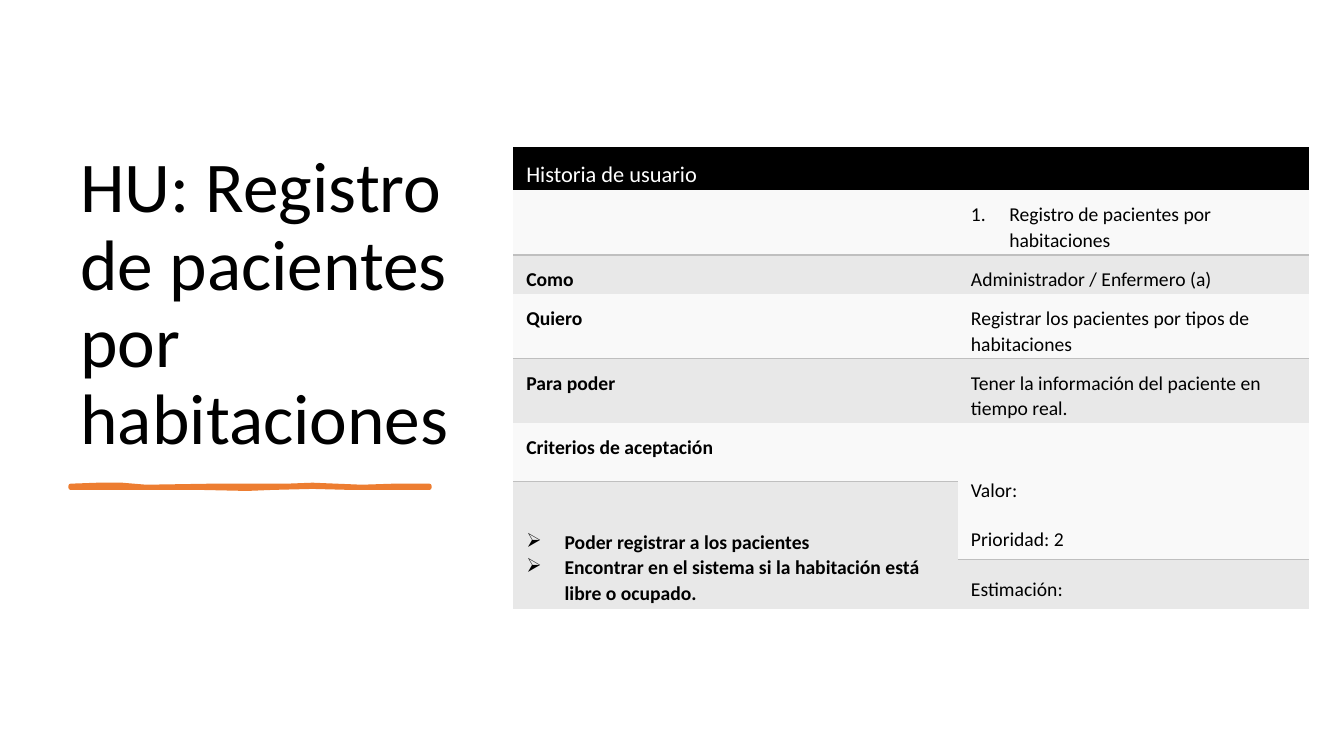
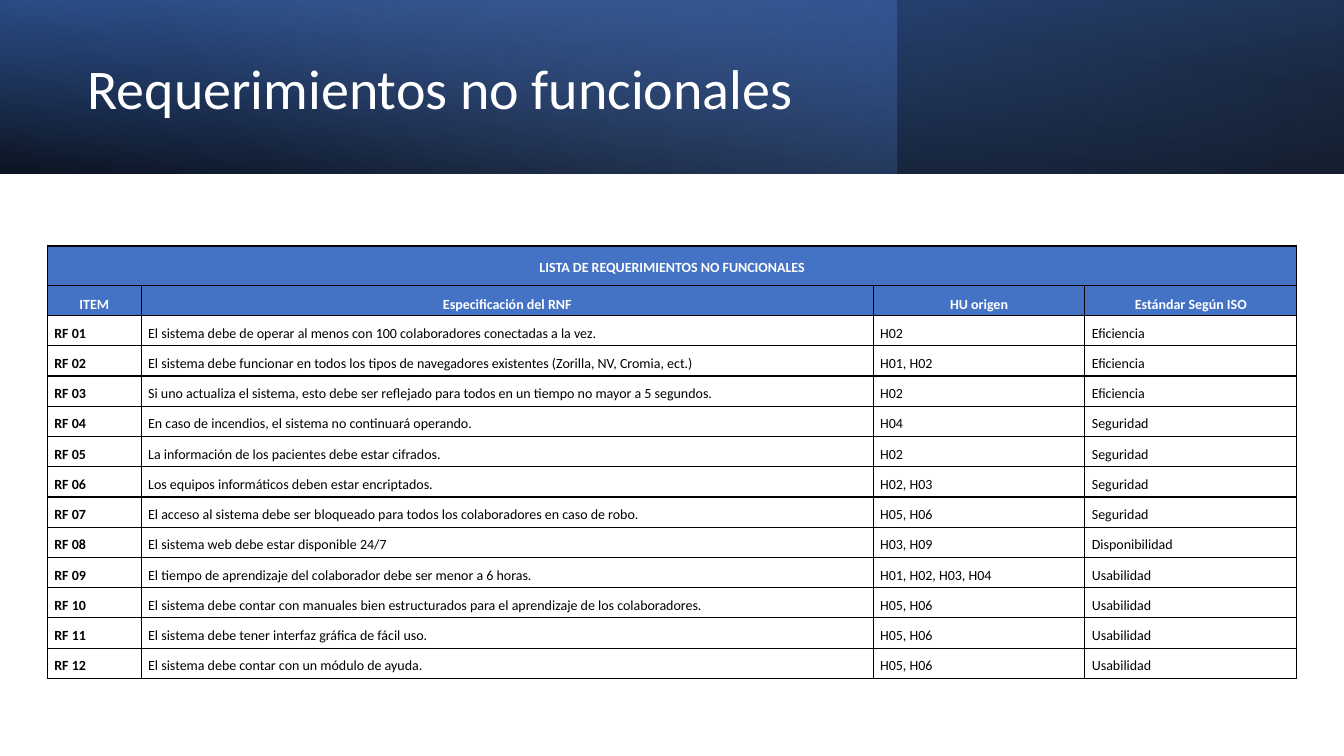
import lxml.etree
import pptx
import pptx.dml.color
import pptx.enum.shapes
import pptx.enum.text
import pptx.oxml.ns
import pptx.util

PX = 9144  # EMU per px, 100 px to the inch
FONT = "Calibri"
BLACK, WHITE, BLUE, ORANGE = "000000", "FFFFFF", "4472C4", "ED7D31"
LIGHT, DARK, GREY = "F9F9F9", "E8E8E8", "BFBFBF"
ALIGN = pptx.enum.text.PP_ALIGN
ANCHOR = pptx.enum.text.MSO_ANCHOR
qn = pptx.oxml.ns.qn
sub = lxml.etree.SubElement


def rgb(color):
    return pptx.dml.color.RGBColor.from_string(color)


def write(tf, text, size=14, color=BLACK, bold=False, align=ALIGN.LEFT,
          spacing=1.07, after=8, bullet=None):
    tf.word_wrap = True
    for i, line in enumerate(text.split("\n")):
        p = tf.add_paragraph() if i else tf.paragraphs[0]
        p.alignment, p.line_spacing = align, spacing
        p.space_after = pptx.util.Pt(after)
        r = p.add_run()
        r.text = line
        r.font.name, r.font.size, r.font.bold = FONT, pptx.util.Pt(size), bold
        r.font.color.rgb = rgb(color)
        if bullet:
            pPr = p._p.get_or_add_pPr()
            pPr.set("marL", str(38 * PX))
            pPr.set("indent", str(-38 * PX))
            if bullet == "1.":
                sub(pPr, qn("a:buAutoNum"), type="arabicPeriod")
            else:
                sub(pPr, qn("a:buChar"), char=bullet)


prs = pptx.Presentation()
prs.slide_width, prs.slide_height = 1333 * PX, 750 * PX
blank = prs.slide_layouts[6]
story, reqs = prs.slides.add_slide(blank), prs.slides.add_slide(blank)

# Bands behind the second title: x, width, rotation, flipped, angle, stops
bands = [
    (0, 1333, 180, True, 100, [(0, BLACK, 96), (100, "2F5597", 100)]),
    (0, 889, 0, False, 140, [(0, BLUE, 41), (74, "8FAADC", 0)]),
    (0, 1333, 0, True, 260, [(0, BLACK, 63), (78, BLUE, 15)]),
]
for x, w, rotation, flipped, angle, stops in bands:
    sp = reqs.shapes.add_shape(pptx.enum.shapes.MSO_SHAPE.RECTANGLE,
                               x * PX, 0, w * PX, 172 * PX)
    sp.shadow.inherit = False
    sp.line.fill.background()
    sp.rotation = rotation
    if flipped:
        sp._element.spPr.find(qn("a:xfrm")).set("flipH", "1")
    sp.fill.gradient()
    sp.fill.gradient_angle = 360 - angle
    for stop, (position, color, _) in zip(sp.fill.gradient_stops, stops):
        stop.position = position / 100
        stop.color.rgb = rgb(color)
    colors = list(sp._element.spPr.iter(qn("a:srgbClr")))
    for clr, (_, _, alpha) in zip(colors, stops):
        sub(clr, qn("a:alpha"), val=str(alpha * 1000))

# Titles
titles = [
    (story, (70, 70, 391, 391), "HU: Registro de pacientes por habitaciones",
     51, BLACK, ANCHOR.BOTTOM),
    (reqs, (77, 27, 772, 127), "Requerimientos no funcionales",
     40, WHITE, ANCHOR.MIDDLE),
]
for s, box, text, size, color, anchor in titles:
    tf = s.shapes.add_textbox(*[n * PX for n in box]).text_frame
    tf.vertical_anchor = anchor
    write(tf, text, size=size, color=color, spacing=0.9, after=0)

# Brush stroke under the first title
stroke = [(97, 481), (121, 481), (145, 483), (209, 482), (284, 482), (310, 481),
          (359, 483), (390, 482), (426, 482), (426, 484), (390, 484), (348, 484),
          (310, 483), (270, 484), (245, 485), (199, 484), (138, 484), (70, 484)]
builder = story.shapes.build_freeform(70, 482, scale=PX)
builder.add_line_segments(stroke, close=True)
sp = builder.convert_to_shape()
sp.shadow.inherit = False
sp.fill.solid()
sp.fill.fore_color.rgb = rgb(ORANGE)
sp.line.color.rgb = rgb(ORANGE)
sp.line.width = pptx.util.Pt(3)

# Both tables: slide, left, top, column widths, row heights
grids = [
    (story, 509, 146, [441, 348], [43, 64, 39, 64, 64, 58, 28, 49, 49]),
    (reqs, 47, 244, [93, 726, 210, 210], [39] + [30] * 13),
]
tables = []
for s, x, y, cols, rows in grids:
    frame = s.shapes.add_table(len(rows), len(cols), x * PX, y * PX,
                               sum(cols) * PX, sum(rows) * PX)
    tbl = frame.table
    tbl.first_row = tbl.horz_banding = False
    for column, w in zip(tbl.columns, cols):
        column.width = w * PX
    for row, h in zip(tbl.rows, rows):
        row.height = h * PX
    tables.append(tbl)
story_tbl, reqs_tbl = tables
borders = []  # cell, side, colour or None

# User story: row, column, text, format
story_cells = [
    (0, 0, "Historia de usuario", dict(size=16, color=WHITE)),
    (1, 1, "Registro de pacientes por habitaciones", dict(bullet="1.")),
    (2, 0, "Como", dict(bold=True)),
    (2, 1, "Administrador / Enfermero (a)", {}),
    (3, 0, "Quiero", dict(bold=True)),
    (3, 1, "Registrar los pacientes por tipos de habitaciones", {}),
    (4, 0, "Para poder", dict(bold=True)),
    (4, 1, "Tener la información del paciente en tiempo real.", {}),
    (5, 0, "Criterios de aceptación", dict(bold=True)),
    (5, 1, "Valor:", {}),
    (6, 0, "Poder registrar a los pacientes\n"
           "Encontrar en el sistema si la habitación está libre o ocupado.",
     dict(bold=True, after=0, bullet="➢")),
    (7, 1, "Prioridad: 2", dict(spacing=1.0, after=0)),
    (8, 1, "Estimación:", dict(spacing=1.0, after=0)),
]
centred = [(0, 0), (5, 1), (7, 1), (8, 1)]
lowered = [(5, 1), (6, 0)]
fills = [[BLACK, LIGHT, DARK, LIGHT, DARK, LIGHT, DARK, DARK, DARK],
         [BLACK, LIGHT, DARK, LIGHT, DARK, LIGHT, LIGHT, LIGHT, DARK]]
for c, column in enumerate(fills):
    for r, color in enumerate(column):
        cell = story_tbl.cell(r, c)
        cell.fill.solid()
        cell.fill.fore_color.rgb = rgb(color)
        cell.margin_left = cell.margin_right = 13 * PX
        cell.margin_top = (47 if (r, c) in lowered else 11) * PX
        cell.margin_bottom = 0
        cell.vertical_anchor = ANCHOR.MIDDLE if (r, c) in centred else ANCHOR.TOP
        # A grey line wherever a light cell meets a dark one below it
        above = column[r - 1:r + 1] == [LIGHT, DARK]
        below = column[r:r + 2] == [LIGHT, DARK]
        borders += [(cell, "L", None), (cell, "R", None),
                    (cell, "T", GREY if above else None),
                    (cell, "B", GREY if below else None)]
for first, last in [((0, 0), (0, 1)), ((5, 1), (6, 1)), ((6, 0), (8, 0))]:
    story_tbl.cell(*first).merge(story_tbl.cell(*last))
for r, c, text, fmt in story_cells:
    write(story_tbl.cell(r, c).text_frame, text, **fmt)

# Non-functional requirements
headers = ["ITEM", "Especificación del RNF", "HU origen", "Estándar Según ISO"]
requirements = [
    ("El sistema debe de operar al menos con 100 colaboradores conectadas a la vez.",
     "H02", "Eficiencia"),
    ("El sistema debe funcionar en todos los tipos de navegadores existentes "
     "(Zorilla, NV, Cromia, ect.)", "H01, H02", "Eficiencia"),
    ("Si uno actualiza el sistema, esto debe ser reflejado para todos en un tiempo "
     "no mayor a 5 segundos.", "H02", "Eficiencia"),
    ("En caso de incendios, el sistema no continuará operando.", "H04", "Seguridad"),
    ("La información de los pacientes debe estar cifrados.", "H02", "Seguridad"),
    ("Los equipos informáticos deben estar encriptados.", "H02, H03", "Seguridad"),
    ("El acceso al sistema debe ser bloqueado para todos los colaboradores en caso "
     "de robo.", "H05, H06", "Seguridad"),
    ("El sistema web debe estar disponible 24/7", "H03, H09", "Disponibilidad"),
    ("El tiempo de aprendizaje del colaborador debe ser menor a 6 horas.",
     "H01, H02, H03, H04", "Usabilidad"),
    ("El sistema debe contar con manuales bien estructurados para el aprendizaje "
     "de los colaboradores.", "H05, H06", "Usabilidad"),
    ("El sistema debe tener interfaz gráfica de fácil uso.", "H05, H06", "Usabilidad"),
    ("El sistema debe contar con un módulo de ayuda.", "H05, H06", "Usabilidad"),
]
body = [(f"RF {n:02}", *values) for n, values in enumerate(requirements, 1)]
reqs_tbl.cell(0, 0).merge(reqs_tbl.cell(0, 3))
for r, values in enumerate([["LISTA DE REQUERIMIENTOS NO FUNCIONALES", "", "", ""],
                            headers, *body]):
    heading = r < 2
    for c, text in enumerate(values):
        cell = reqs_tbl.cell(r, c)
        if heading:
            cell.fill.solid()
            cell.fill.fore_color.rgb = rgb(BLUE)
        else:
            cell.fill.background()
        cell.margin_left = cell.margin_right = (7 if r else 9) * PX
        cell.margin_top = (1 if r else 5) * PX
        cell.margin_bottom = (0 if r else 5) * PX
        cell.vertical_anchor = ANCHOR.MIDDLE if r == 1 else ANCHOR.TOP
        if text:
            write(cell.text_frame, text, size=10, spacing=1.5,
                  color=WHITE if heading else BLACK, bold=heading or c == 0,
                  align=ALIGN.CENTER if heading else ALIGN.JUSTIFY)
        borders += [(cell, side, BLACK) for side in "LRTB"]

# Cell borders, placed ahead of each cell's fill
for cell, side, color in borders:
    tcPr = cell._tc.get_or_add_tcPr()
    ln = lxml.etree.Element(qn("a:ln" + side), w="12700")
    if color:
        sub(sub(ln, qn("a:solidFill")), qn("a:srgbClr"), val=color)
    else:
        sub(ln, qn("a:noFill"))
    tcPr.insert("LRTB".index(side), ln)

prs.save("out.pptx")
